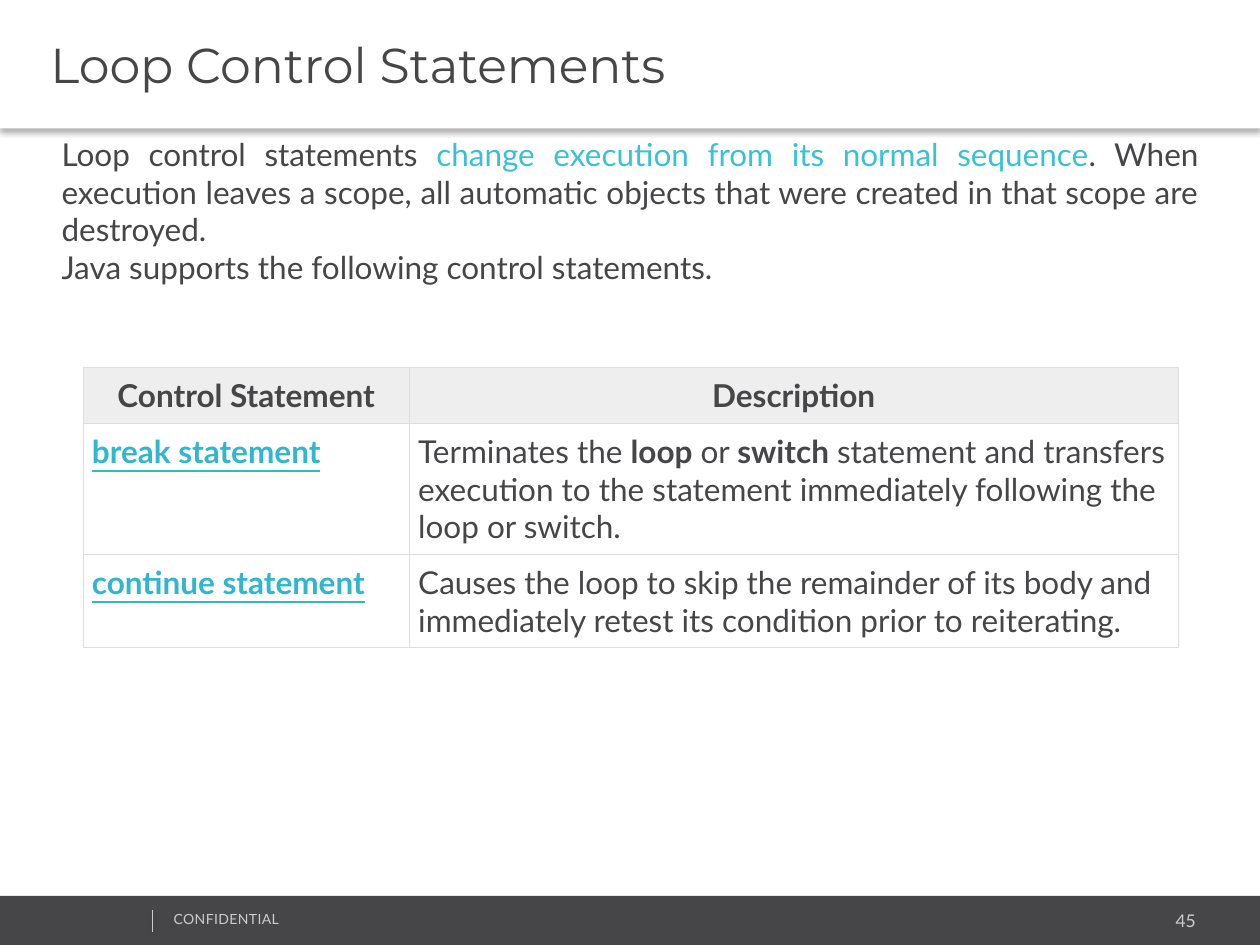
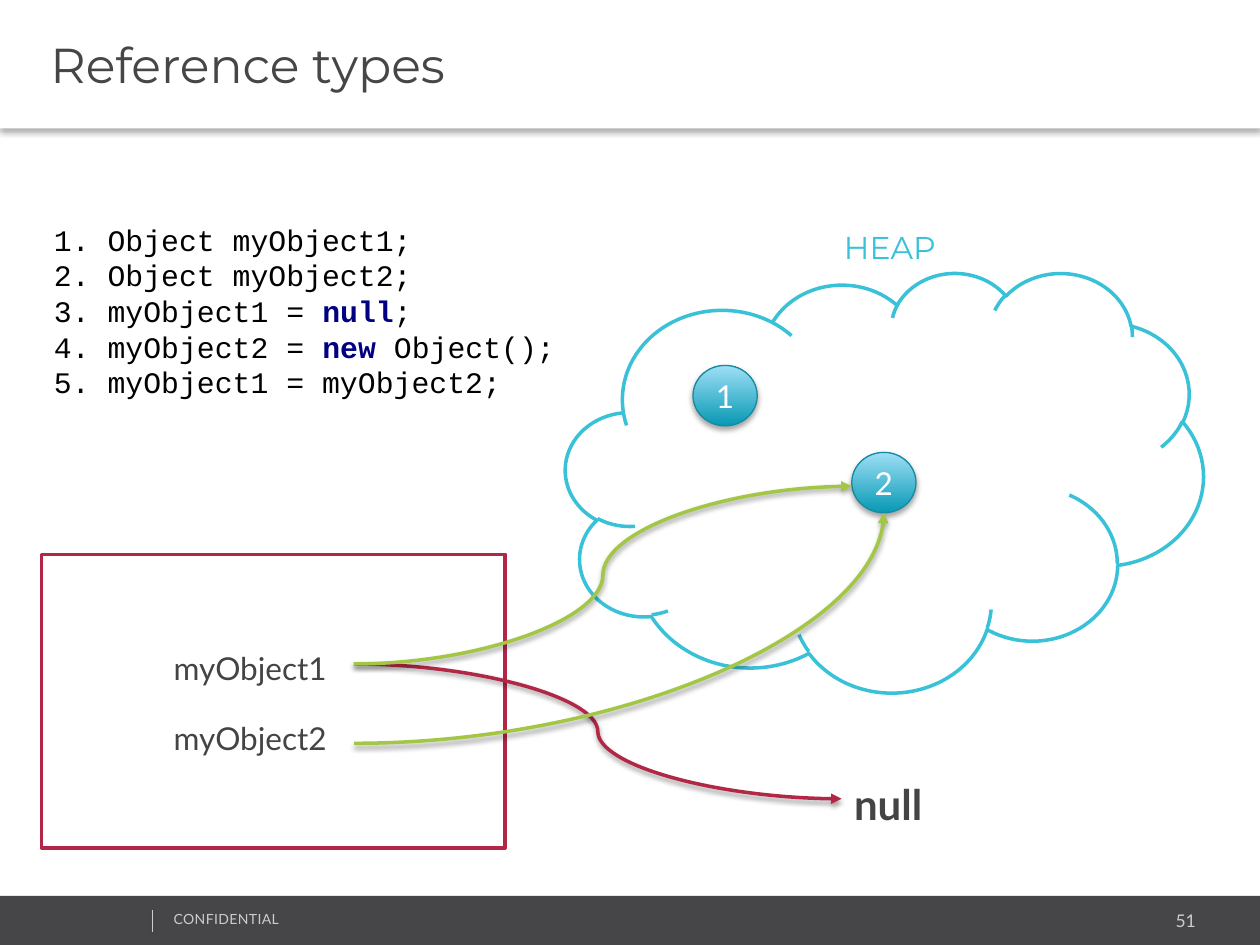
from lxml.etree import SubElement
from pptx import Presentation
from pptx.dml.color import RGBColor
from pptx.enum.shapes import MSO_CONNECTOR, MSO_SHAPE
from pptx.enum.text import MSO_ANCHOR, MSO_AUTO_SIZE, PP_ALIGN
from pptx.oxml.ns import qn
from pptx.util import Pt

PX = 9144
WHITE = RGBColor(0xFF, 0xFF, 0xFF)
BLACK = RGBColor(0x00, 0x00, 0x00)
DARK = RGBColor(0x46, 0x45, 0x47)
LABEL = RGBColor(0x44, 0x44, 0x44)
PALE = RGBColor(0xCC, 0xCC, 0xCC)
HEAD = RGBColor(0xEE, 0xEE, 0xEE)
RULE = RGBColor(0xDD, 0xDD, 0xDD)
CYAN = RGBColor(0x39, 0xC2, 0xD7)
LINK = RGBColor(0x32, 0xB6, 0xCE)
NAVY = RGBColor(0x00, 0x00, 0x80)
RED = RGBColor(0xB2, 0x27, 0x46)
GREEN = RGBColor(0xA3, 0xC6, 0x44)
DEEP = RGBColor(0x07, 0x99, 0xB4)
LIGHT = RGBColor(0x9E, 0xDF, 0xF6)
RIM = RGBColor(0x17, 0x8A, 0xA0)

BOLD = {"bold": True}
KEY = {"bold": True, "color": NAVY}


def px(*sizes):
    return [size * PX for size in sizes]


def style(run, size=18, font="Lato", color=DARK, bold=False, under=False, track=0):
    run.font.size = Pt(size)
    run.font.name = font
    run.font.color.rgb = color
    run.font.bold = bold
    run.font.underline = under
    if track:
        run.font._element.set("spc", str(track))


def write(frame, *lines, align=PP_ALIGN.LEFT, space=1.0, **look):
    for row, line in enumerate(lines):
        para = frame.add_paragraph() if row else frame.paragraphs[0]
        para.alignment = align
        para.line_spacing = space
        para.space_before = Pt(0)
        for part in [line] if isinstance(line, str) else line:
            text, extra = (part, {}) if isinstance(part, str) else part
            run = para.add_run()
            run.text = text
            style(run, **{**look, **extra})


def label(slide, box, *lines, wrap=True, **look):
    shape = slide.shapes.add_textbox(*px(*box))
    shape.text_frame.word_wrap = wrap
    write(shape.text_frame, *lines, **look)
    return shape


def shade(shape, alpha, blur, drop):
    props = shape._element.spPr
    effects = props.find(qn("a:effectLst"))
    if effects is None:
        effects = SubElement(props, qn("a:effectLst"))
    outer = SubElement(effects, qn("a:outerShdw"), blurRad=str(Pt(blur)),
                       dist=str(Pt(drop)), dir="5400000", rotWithShape="0")
    color = SubElement(outer, qn("a:srgbClr"), val=str(BLACK))
    SubElement(color, qn("a:alpha"), val=str(alpha * 1000))


def block(slide, kind, box, fill=None, line=None, width=2):
    shape = slide.shapes.add_shape(kind, *px(*box))
    shape.shadow.inherit = False
    if fill is not None:
        shape.fill.solid()
        shape.fill.fore_color.rgb = fill
    if line is None:
        shape.line.fill.background()
    else:
        shape.line.color.rgb = line
        shape.line.width = Pt(width)
    return shape


def link(slide, kind, ends, color, width):
    line = slide.shapes.add_connector(kind, *px(*ends))
    line.line.color.rgb = color
    line.line.width = Pt(width)
    return line


def arrow(slide, ends, color):
    line = link(slide, MSO_CONNECTOR.CURVE, ends, color, 2)
    SubElement(line.line._get_or_add_ln(), qn("a:tailEnd"), type="triangle")
    shade(line, 38, 3.1, 1.6)
    return line


def ball(slide, left, top, text):
    shape = block(slide, MSO_SHAPE.OVAL, (left, top, 51, 48), line=RIM, width=0.75)
    shape.fill.gradient()
    shape.fill.gradient_angle = 90
    for stop, color in zip(shape.fill.gradient_stops, (DEEP, LIGHT)):
        stop.color.rgb = color
    shade(shape, 35, 3.1, 1.8)
    shape.text_frame.vertical_anchor = MSO_ANCHOR.MIDDLE
    write(shape.text_frame, text, align=PP_ALIGN.CENTER, color=WHITE)
    return shape


def start(deck, title, page):
    slide = deck.slides.add_slide(deck.slide_layouts[5])
    head = slide.shapes.title
    head.left, head.top, head.width, head.height = px(0, 0, 1000, 102)
    head.fill.solid()
    head.fill.fore_color.rgb = WHITE
    head.shadow.inherit = False
    shade(head, 30, 3.1, 2)
    frame = head.text_frame
    frame.auto_size = MSO_AUTO_SIZE.NONE
    frame.vertical_anchor = MSO_ANCHOR.MIDDLE
    frame.margin_left = 40 * PX
    write(frame, title, align=PP_ALIGN.JUSTIFY, size=28, font="Montserrat")

    block(slide, MSO_SHAPE.RECTANGLE, (0, 711, 1000, 40), DARK)
    label(slide, (796, 717, 163, 27), page, size=10, color=PALE, align=PP_ALIGN.RIGHT)
    label(slide, (128, 718, 253, 24), "CONFIDENTIAL", size=8, color=PALE, track=20)
    link(slide, MSO_CONNECTOR.STRAIGHT, (121, 722, 121, 740), PALE, 0.25)
    return slide


def edge(cell):
    props = cell._tc.get_or_add_tcPr()
    for side in ("lnL", "lnR", "lnT", "lnB"):
        line = SubElement(props, qn("a:" + side), w=str(Pt(0.6)))
        fill = SubElement(line, qn("a:solidFill"))
        SubElement(fill, qn("a:srgbClr"), val=str(RULE))


def grid(slide, spot, widths, heights, rows):
    size = sum(widths), sum(heights)
    table = slide.shapes.add_table(len(rows), len(widths), *px(*spot, *size)).table
    table.first_row = table.horz_banding = False
    for col, width in zip(table.columns, widths):
        col.width = width * PX
    for row, height in zip(table.rows, heights):
        row.height = height * PX
    for r, row in enumerate(rows):
        for c, text in enumerate(row):
            cell = table.cell(r, c)
            edge(cell)
            cell.margin_left = cell.margin_right = 7 * PX
            cell.margin_top = cell.margin_bottom = 7 * PX
            if r == 0:
                cell.fill.solid()
                cell.fill.fore_color.rgb = HEAD
                look = {"align": PP_ALIGN.CENTER, "bold": True}
            else:
                cell.fill.background()
                look = {} if c else {"align": PP_ALIGN.JUSTIFY, "bold": True,
                                     "color": LINK, "under": True}
            write(cell.text_frame, text, **look)


def loops(deck):
    slide = start(deck, "Loop Control Statements", "45")
    label(slide, (39, 102, 922, 131),
          ["Loop control statements ",
           ("change execution from its normal sequence", {"color": CYAN}),
           ". When execution leaves a scope, all automatic objects that were "
           "created in that scope are destroyed."],
          "Java supports the following control statements.",
          align=PP_ALIGN.JUSTIFY)
    grid(slide, (66, 292), (259, 610), (44, 103, 74), [
        ["Control Statement", "Description"],
        ["break statement",
         ["Terminates the ", ("loop", BOLD), " or ", ("switch", BOLD),
          " statement and transfers execution to the statement immediately "
          "following the loop or switch."]],
        ["continue statement",
         "Causes the loop to skip the remainder of its body and immediately "
         "retest its condition prior to reiterating."],
    ])


def types(deck):
    slide = start(deck, "Reference types", "51")
    block(slide, MSO_SHAPE.CLOUD, (449, 216, 506, 333), WHITE, CYAN)
    code = label(slide, (33, 170, 433, 153),
                 "1. Object myObject1;",
                 "2. Object myObject2;",
                 ["3. myObject1 = ", ("null", KEY), ";"],
                 ["4. myObject2 = ", ("new ", KEY), "Object();"],
                 "5. myObject1 = myObject2;",
                 size=17, font="Courier New", color=BLACK)
    code.text_frame.vertical_anchor = MSO_ANCHOR.MIDDLE
    code.fill.solid()
    code.fill.fore_color.rgb = WHITE
    label(slide, (660, 170, 97, 44), "HEAP", wrap=False, space=1.2,
          font="Montserrat", color=CYAN)
    block(slide, MSO_SHAPE.RECTANGLE, (33, 440, 368, 233), WHITE, RED)
    ball(slide, 550, 290, "1")
    label(slide, (668, 605, 80, 59), "null", wrap=False, space=1.2,
          size=24, color=LABEL, bold=True)
    arrow(slide, (281, 527, 668, 634), RED)
    goal = ball(slide, 676, 359, "2")
    rise = arrow(slide, (281, 590, 702, 407), GREEN)
    rise.end_connect(goal, 2)
    rise._element.spPr.find(qn("a:prstGeom")).set("prst", "curvedConnector2")
    rise._element.find(".//" + qn("a:endCxn")).set("idx", "4")
    arrow(slide, (281, 527, 676, 386), GREEN)
    for row, name in enumerate(("myObject1", "myObject2")):
        label(slide, (128, 504 + 56 * row, 145, 46), name, space=1.2, color=LABEL)


def main():
    deck = Presentation()
    deck.slide_width, deck.slide_height = px(1000, 750)
    loops(deck)
    types(deck)
    deck.save("out.pptx")


if __name__ == "__main__":
    main()
